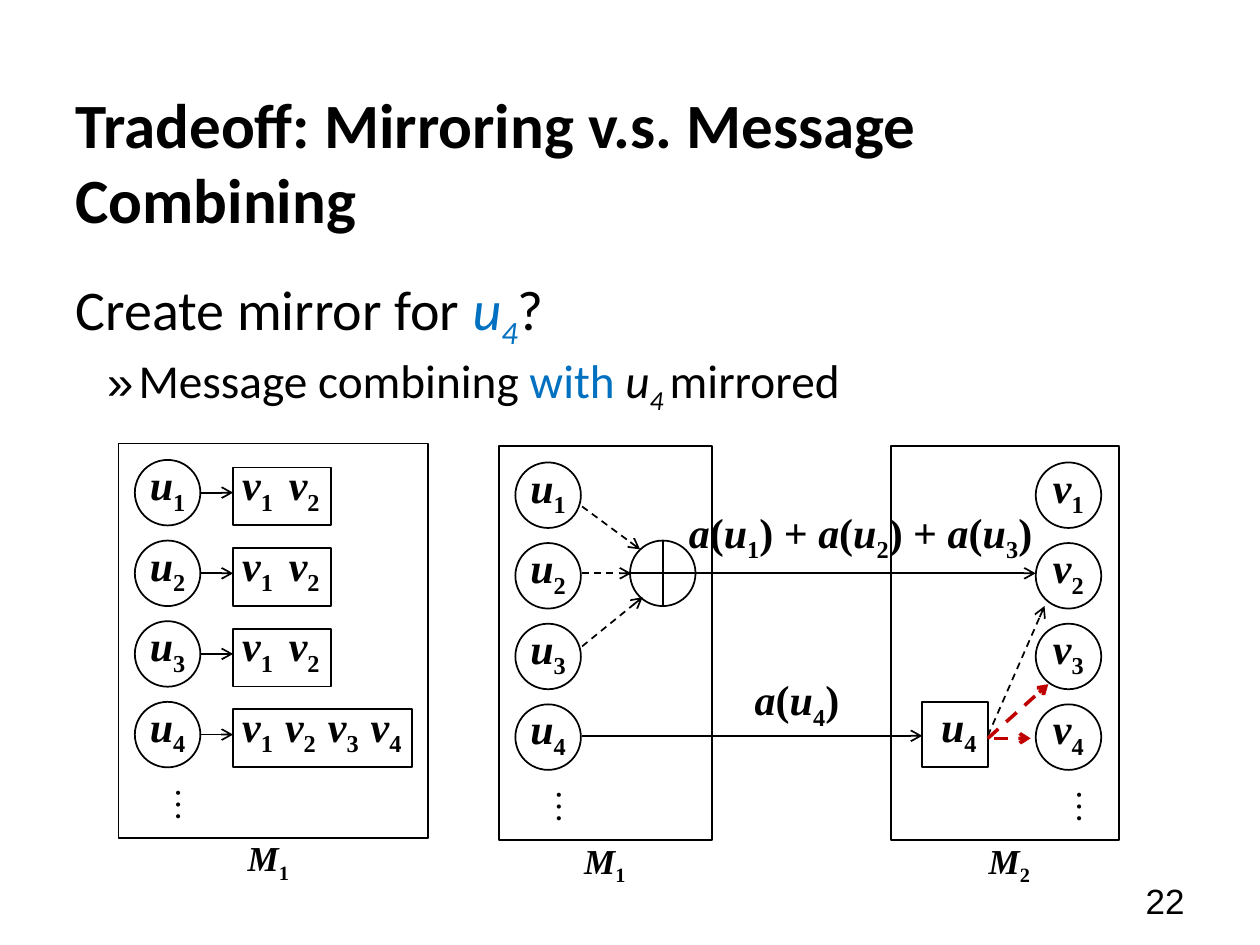
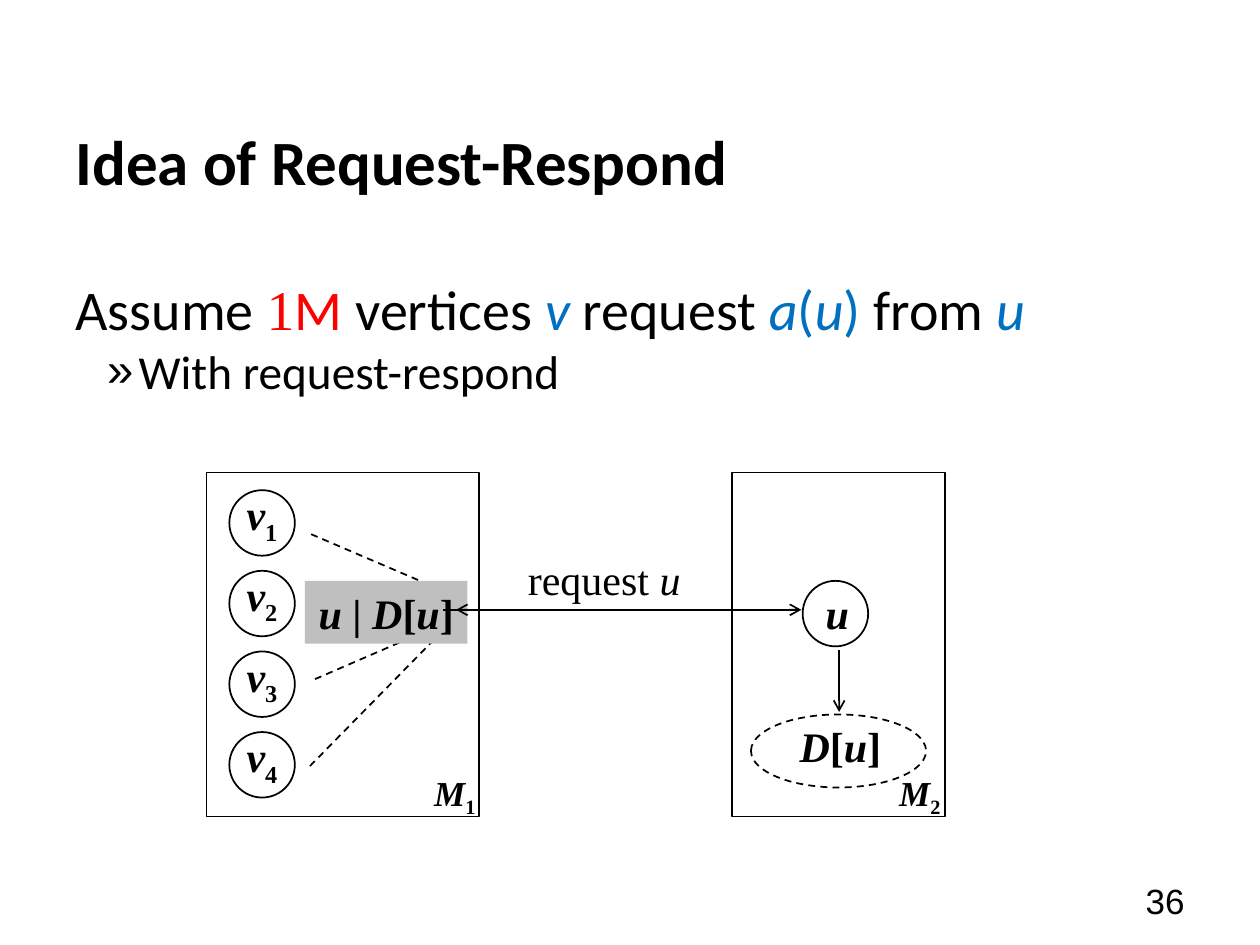
"""Build two slides on message passing between machines."""
from itertools import groupby

from lxml import etree
from pptx import Presentation
from pptx.dml.color import RGBColor
from pptx.enum.dml import MSO_LINE
from pptx.enum.shapes import MSO_CONNECTOR, MSO_SHAPE
from pptx.enum.text import MSO_ANCHOR, MSO_AUTO_SIZE, PP_ALIGN
from pptx.oxml.ns import qn
from pptx.util import Inches, Pt

OVAL, RECTANGLE, SUM = MSO_SHAPE.OVAL, MSO_SHAPE.RECTANGLE, MSO_SHAPE.FLOWCHART_OR
STRAIGHT, DASH = MSO_CONNECTOR.STRAIGHT, MSO_LINE.DASH
LEFT, CENTER, RIGHT = PP_ALIGN.LEFT, PP_ALIGN.CENTER, PP_ALIGN.RIGHT
MIDDLE, FIXED = MSO_ANCHOR.MIDDLE, MSO_AUTO_SIZE.NONE

BLACK, WHITE, GRAY = "000000", "FFFFFF", "BFBFBF"
BLUE, RED, DARK_RED = "0070C0", "FF0000", "C00000"
SANS, SERIF, NUMBER_FONT = "Calibri", "Times New Roman", "Arial"
NODE, ROW_STEP = 0.52, 0.64
SUBSCRIPT = -25


def rgb(value):
    """Turn a hex string into a colour."""
    return RGBColor.from_string(value)


def write(paragraph, text, size=24, font=SERIF, color=BLACK, bold=False, italic=False, baseline=0):
    """Add one formatted run to a paragraph."""
    run = paragraph.add_run()
    run.text = text
    run.font.size, run.font.name = Pt(size), font
    run.font.bold, run.font.italic = bold, italic
    run.font.color.rgb = rgb(color)
    if baseline:
        run._r.get_or_add_rPr().set("baseline", str(baseline * 1000))


def character_kind(character):
    """Tell variables, indices and signs apart."""
    return "variable" if character.isalpha() else "index" if character.isdigit() else "sign"


def write_formula(paragraph, formula, size=24):
    """Write letters in italics and digits as subscripts."""
    for kind, characters in groupby(formula, character_kind):
        write(paragraph, "".join(characters), size, bold=True, italic=kind == "variable",
              baseline=SUBSCRIPT if kind == "index" else 0)


def set_bullet(paragraph, bullet, margin, indent):
    """Give a paragraph its bullet and indents."""
    paragraph.space_before = Pt(0)
    properties = paragraph._p.get_or_add_pPr()
    properties.set("marL", str(Inches(margin)))
    properties.set("indent", str(Inches(indent)))
    if bullet:
        etree.SubElement(properties, qn("a:buChar")).set("char", bullet)
    else:
        etree.SubElement(properties, qn("a:buNone"))


class Deck:
    """Holds the shared style and the current slide."""

    def __init__(self):
        """Start a 4:3 presentation."""
        self.presentation = Presentation()
        self.presentation.slide_width = Inches(10)
        self.presentation.slide_height = Inches(7.5)
        self.slide = None

    def place(self, shape, left, top, width, height):
        """Move and size a shape."""
        shape.left, shape.top = Inches(left), Inches(top)
        shape.width, shape.height = Inches(width), Inches(height)

    def start(self, title, number, body_height, lead, detail):
        """Add a slide with title, two body lines and page number."""
        self.slide = self.presentation.slides.add_slide(self.presentation.slide_layouts[1])
        heading, body = self.slide.placeholders
        self.place(heading, 0.5, 0.65, 9, 1.25)
        frame = heading.text_frame
        frame.auto_size, frame.vertical_anchor = FIXED, MIDDLE
        frame.paragraphs[0].alignment = LEFT
        write(frame.paragraphs[0], title, 36, SANS, bold=True)

        self.place(body, 0.5, 2.13, 9, body_height)
        frame = body.text_frame
        frame.auto_size = FIXED
        first, second = frame.paragraphs[0], frame.add_paragraph()
        second.level = 1
        set_bullet(first, None, 0, 0)
        set_bullet(second, "»", 0.5, -0.25)
        for paragraph, size, runs in ((first, 32, lead), (second, 27, detail)):
            for text, style in runs:
                write(paragraph, text, **{"size": size, "font": SANS, **style})

        paragraph = self.text_box(7.17, 6.95, 2.33, 0.4, RIGHT, wrap=True, anchor=MIDDLE)
        write(paragraph, number, 20, NUMBER_FONT)

    def text_box(self, left, top, width, height, alignment=CENTER, wrap=False, anchor=None):
        """Add an empty text box and return its paragraph."""
        box = self.slide.shapes.add_textbox(*map(Inches, (left, top, width, height)))
        frame = box.text_frame
        frame.word_wrap = wrap
        if anchor is not None:
            frame.vertical_anchor = anchor
        frame.paragraphs[0].alignment = alignment
        return frame.paragraphs[0]

    def formula(self, text, left, top, width=0.53, size=24):
        """Add a centred formula."""
        write_formula(self.text_box(left, top, width, 0.53), text, size)

    def shape(self, kind, left, top, width, height, fill=None, line=BLACK, dashed=False):
        """Add an outlined or filled preset shape."""
        shape = self.slide.shapes.add_shape(kind, *map(Inches, (left, top, width, height)))
        shape.shadow.inherit = False
        if fill:
            shape.fill.solid()
            shape.fill.fore_color.rgb = rgb(fill)
        else:
            shape.fill.background()
        if line:
            shape.line.color.rgb, shape.line.width = rgb(line), Pt(1)
        else:
            shape.line.fill.background()
        if dashed:
            shape.line.dash_style = DASH
        return shape

    def arrow(self, start, end, dashed=False, color=BLACK, width=1):
        """Draw an arrow between two points."""
        connector = self.slide.shapes.add_connector(STRAIGHT, *map(Inches, (*start, *end)))
        connector.line.color.rgb, connector.line.width = rgb(color), Pt(width)
        if dashed:
            connector.line.dash_style = DASH
        properties = connector.element.spPr
        etree.SubElement(properties.find(qn("a:ln")), qn("a:tailEnd")).set("type", "arrow")
        etree.SubElement(properties, qn("a:effectLst"))

    def nodes(self, letter, left, top):
        """Stack four numbered circles and return their tops."""
        tops = [round(top + row * ROW_STEP, 2) for row in range(4)]
        for index, node_top in enumerate(tops, 1):
            self.shape(OVAL, left, node_top, NODE, NODE, WHITE)
            self.formula(f"{letter}{index}", left - 0.02, node_top - 0.06, 0.56)
        return tops

    def ellipsis(self, left, top):
        """Add a vertical ellipsis."""
        paragraph = self.text_box(left, top, 0.71, 0.5, LEFT)
        write(paragraph, "…", 20)
        paragraph._p.getparent().find(qn("a:bodyPr")).set("vert", "eaVert")

    def machine(self, name, left, top, width, height, label_left, label_top):
        """Draw a machine frame with its name."""
        self.shape(RECTANGLE, left, top, width, height)
        self.formula(name, label_left, label_top, 0.74, 20)

    def column(self, name, letter, left, top, frame_left, frame_width, label_left):
        """Draw a machine holding a column of nodes."""
        self.machine(name, frame_left, top - 0.13, frame_width, 3.13, label_left, top + 2.94)
        self.ellipsis(left - 0.05, top + 2.5)
        return self.nodes(letter, left, top)

    def neighbors(self, count, top, width, step):
        """Draw the neighbour list beside a node."""
        self.arrow((1.59, top + 0.26), (1.85, top + 0.26))
        self.shape(RECTANGLE, 1.85, top + 0.06, width, 0.46)
        for index in range(count):
            self.formula(f"v{index + 1}", 1.78 + index * step, top - 0.06)


def build_tradeoff(deck):
    """Show mirroring against message combining."""
    blue_italic = {"color": BLUE, "italic": True}
    deck.start(
        "Tradeoff: Mirroring v.s. Message Combining", "22", 1.39,
        [("Create mirror for ", {}), ("u", blue_italic),
         ("4", {**blue_italic, "baseline": SUBSCRIPT}), ("?", {})],
        [("Message combining ", {}), ("with ", {"color": BLUE}), ("u", {"italic": True}),
         ("4 ", {"italic": True, "baseline": SUBSCRIPT}), ("mirrored", {})])

    tops = deck.column("M1", "u", 1.07, 3.65, 0.94, 2.46, 1.76)
    for top in tops[:3]:
        deck.neighbors(2, top, 0.78, 0.37)
    deck.neighbors(4, tops[3], 1.42, 0.34)
    deck.column("M1", "u", 4.09, 3.67, 3.96, 1.69, 4.43)
    deck.column("M2", "v", 8.22, 3.67, 7.07, 1.81, 7.64)

    deck.shape(SUM, 5, 4.29, NODE, NODE)
    for start, end in (((4.62, 4.02), (5.08, 4.36)), ((4.62, 4.55), (5.01, 4.55)),
                       ((4.62, 5.13), (5.1, 4.74))):
        deck.arrow(start, end, dashed=True)
    deck.arrow((5.52, 4.55), (8.22, 4.55))
    deck.formula("a(u1) + a(u2) + a(u3)", 5.31, 3.97, 3.04)

    deck.shape(RECTANGLE, 7.32, 5.57, NODE, NODE, WHITE)
    deck.formula("u4", 7.32, 5.51, 0.58)
    deck.arrow((4.62, 5.84), (7.32, 5.84))
    deck.formula("a(u4)", 5.85, 5.3, 0.95)
    deck.arrow((7.84, 5.84), (8.29, 4.81), dashed=True)
    for start, end in (((7.84, 5.86), (8.32, 5.43)), ((7.89, 5.86), (8.18, 5.86))):
        deck.arrow(start, end, True, DARK_RED, 2)


def build_request(deck):
    """Show the request-respond exchange."""
    blue, blue_italic = {"color": BLUE}, {"color": BLUE, "italic": True}
    deck.start(
        "Idea of Request-Respond", "36", 4.62,
        [("Assume ", {}), ("1", {"font": SERIF, "color": RED}), ("M", {"color": RED}),
         (" vertices", {}), (" v", blue_italic), (" request ", {}), ("a", blue_italic),
         ("(", blue), ("u", blue_italic), (")", blue), (" from ", {}), ("u", blue_italic)],
        [("With request-respond", {})])

    deck.machine("M1", 1.64, 3.75, 2.16, 2.73, 3.24, 6.07)
    deck.machine("M2", 5.81, 3.75, 1.69, 2.73, 6.93, 6.07)
    deck.nodes("v", 1.82, 3.89)
    deck.shape(OVAL, 6.37, 4.61, NODE, NODE, WHITE)
    deck.formula("u", 6.45, 4.61, 0.39)
    deck.shape(OVAL, 5.96, 5.67, 1.39, 0.58, dashed=True)
    deck.formula("D[u]", 6.19, 5.67, 0.96)
    deck.arrow((6.66, 5.16), (6.66, 5.65))

    for start, end in (((2.47, 4.24), (3.52, 4.69)), ((2.5, 5.39), (3.4, 5)),
                       ((2.46, 6.08), (3.52, 5))):
        deck.arrow(start, end, dashed=True)
    cache = deck.shape(RECTANGLE, 2.42, 4.61, 1.29, 0.5, GRAY, None)
    cache.text_frame.word_wrap = False
    paragraph = cache.text_frame.paragraphs[0]
    paragraph.alignment = CENTER
    write_formula(paragraph, "u | D[u]")

    deck.arrow((3.52, 4.84), (6.36, 4.84))
    deck.arrow((6.33, 4.84), (3.62, 4.84))
    paragraph = deck.text_box(4.04, 4.34, 1.51, 0.5, wrap=True)
    write(paragraph, "request")
    write(paragraph, " u", italic=True)


def main():
    """Build and save the presentation."""
    deck = Deck()
    build_tradeoff(deck)
    build_request(deck)
    deck.presentation.save("out.pptx")


main()
